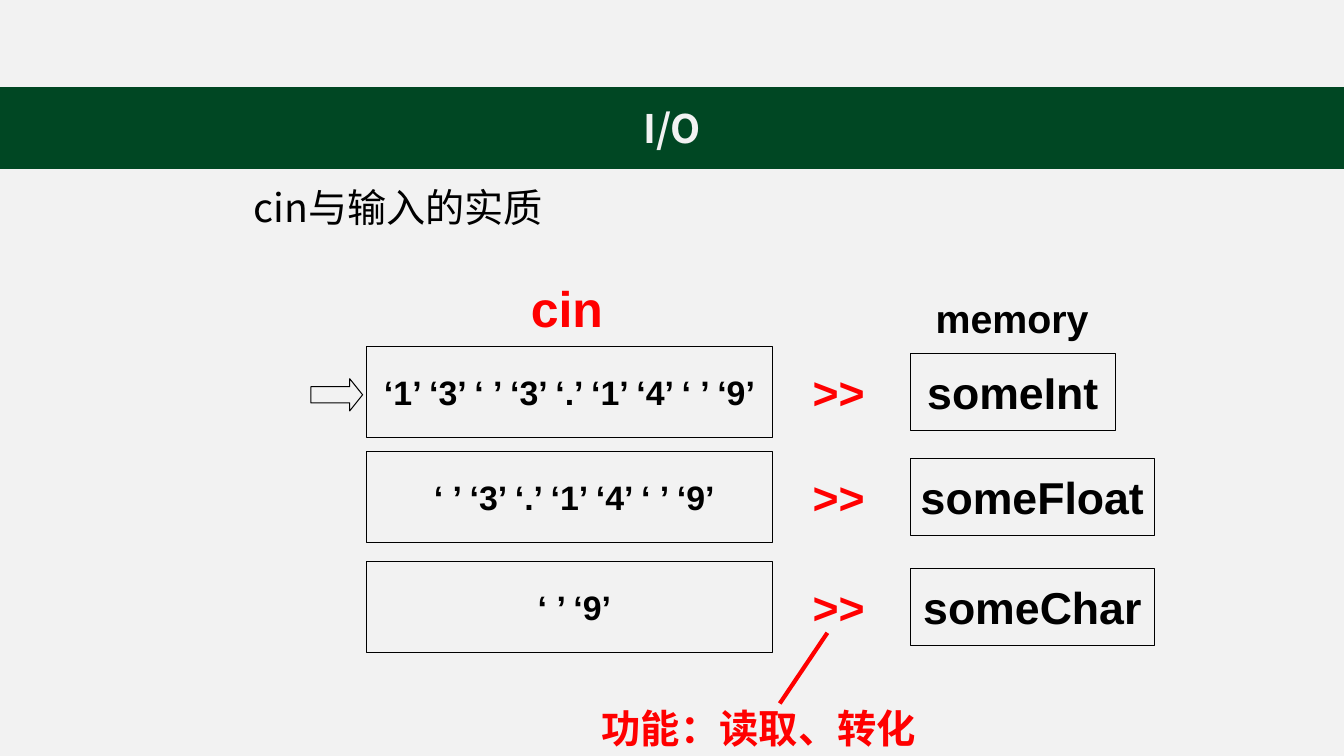
from pptx import Presentation
from pptx.dml.color import RGBColor
from pptx.enum import shapes, text
from pptx.oxml import parse_xml
from pptx.oxml import ns
from pptx.util import Pt

# Content
HEAD = "I/O"
TITLE = "cin与输入的实质"
NOTE = "功能：读取、转化"
ROWS = [  # stream, target, middle of the row, target width
    ("‘1’ ‘3’ ‘ ’ ‘3’ ‘.’ ‘1’ ‘4’ ‘ ’ ‘9’", "someInt", 280, 146),
    (" ‘ ’ ‘3’ ‘.’ ‘1’ ‘4’ ‘ ’ ‘9’", "someFloat", 355, 174),
    (" ‘ ’ ‘9’", "someChar", 433.5, 174),
]

# Style
BLACK, RED, GREEN, PALE = "000000", "FF0000", "004723", "F2F2F2"
LATIN, HAN = "Arial", "Noto Sans CJK SC"
WIDE, HIGH = 960, 540

deck = Presentation()
deck.slide_width, deck.slide_height = Pt(WIDE), Pt(HIGH)
slide = deck.slides.add_slide(deck.slide_layouts[6])


def paint(target, color):
    target.solid()
    target.fore_color.rgb = RGBColor.from_string(color)


def write(shape, words, size, color=BLACK, font=LATIN, asian=None,
          bold=True, center=True, wrap=False, lead=None):
    frame = shape.text_frame
    frame.word_wrap = wrap
    frame.vertical_anchor = text.MSO_ANCHOR.MIDDLE
    para = frame.paragraphs[0]
    para.alignment = text.PP_ALIGN.CENTER if center else text.PP_ALIGN.LEFT
    if lead:
        para.line_spacing = lead
    run = para.add_run()
    run.text = words
    run.font.size, run.font.bold, run.font.name = Pt(size), bold, font
    paint(run.font.fill, color)
    face = parse_xml(f'<a:ea {ns.nsdecls("a")} typeface="{asian or font}"/>')
    run.font._element.find(ns.qn("a:latin")).addnext(face)


def label(x, y, w, h, words, size, **style):
    box = slide.shapes.add_textbox(Pt(x), Pt(y), Pt(w), Pt(h))
    frame = box.text_frame
    frame.margin_left = frame.margin_right = 0
    frame.margin_top = frame.margin_bottom = 0
    write(box, words, size, wrap=True, **style)


def block(x, y, w, h, kind=shapes.MSO_SHAPE.RECTANGLE, fill=None,
          line=BLACK, width=0.75):
    shape = slide.shapes.add_shape(kind, Pt(x), Pt(y), Pt(w), Pt(h))
    shape.shadow.inherit = False
    if fill:
        paint(shape.fill, fill)
    else:
        shape.fill.background()
    paint(shape.line.fill, line)
    shape.line.width = Pt(width)
    return shape


# Background, title and column heads
paint(slide.background.fill, PALE)
label(181.2, 126, 600, 47.5, TITLE, 28, font=HAN, bold=False,
      center=False, lead=0.9)
label(662, 209.5, 122, 35, "memory", 28.1)
label(365, 201.5, 80, 37, "cin", 35.7, color=RED)

# Rows: stream, operator, target
for stream, name, mid, wide in ROWS:
    write(block(262, mid - 32.5, 290, 65), stream, 24.2)
    label(575, mid - 24.5, 48, 49, ">>", 31.9, color=RED)
    write(block(650.5, mid - 27.5, wide, 55), name, 31.9)

# Read position
arrow = block(222, 270.5, 37, 23, kind=shapes.MSO_SHAPE.RIGHT_ARROW)
arrow.adjustments[0], arrow.adjustments[1] = 0.5, 0.4

# Note on the operator
link = slide.shapes.add_connector(shapes.MSO_CONNECTOR.STRAIGHT,
                                  Pt(591), Pt(452), Pt(557), Pt(502.5))
paint(link.line.fill, RED)
link.line.width = Pt(3)
link._element.spPr.append(parse_xml(f'<a:effectLst {ns.nsdecls("a")}/>'))
label(424, 502.5, 236, 34, NOTE, 28.1, color=RED, asian=HAN)

# Header band
band = block(0, 62.5, WIDE, 58, fill=GREEN, line=GREEN, width=1)
write(band, HEAD, 28, color=PALE, font=HAN, wrap=True)

deck.save("out.pptx")
